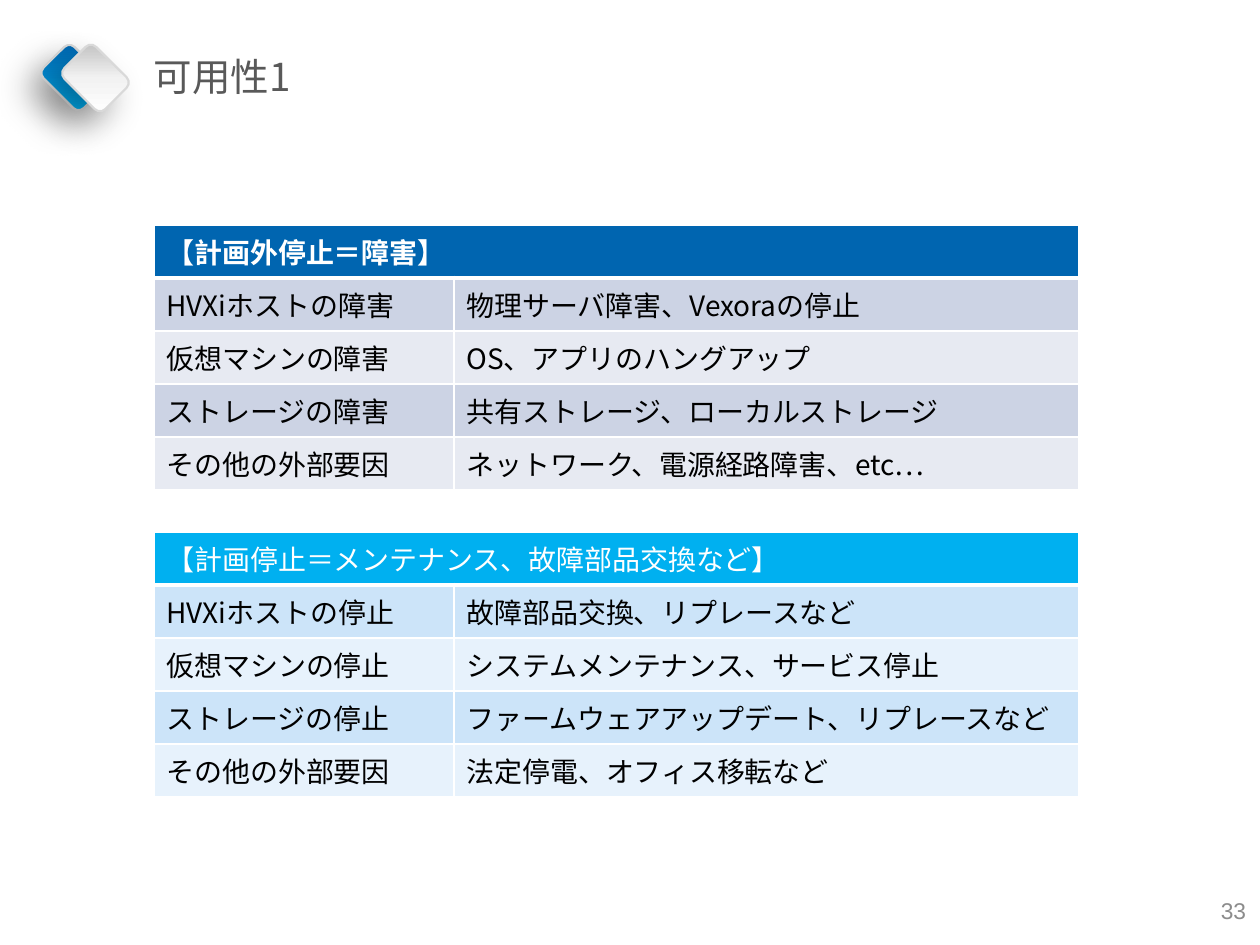
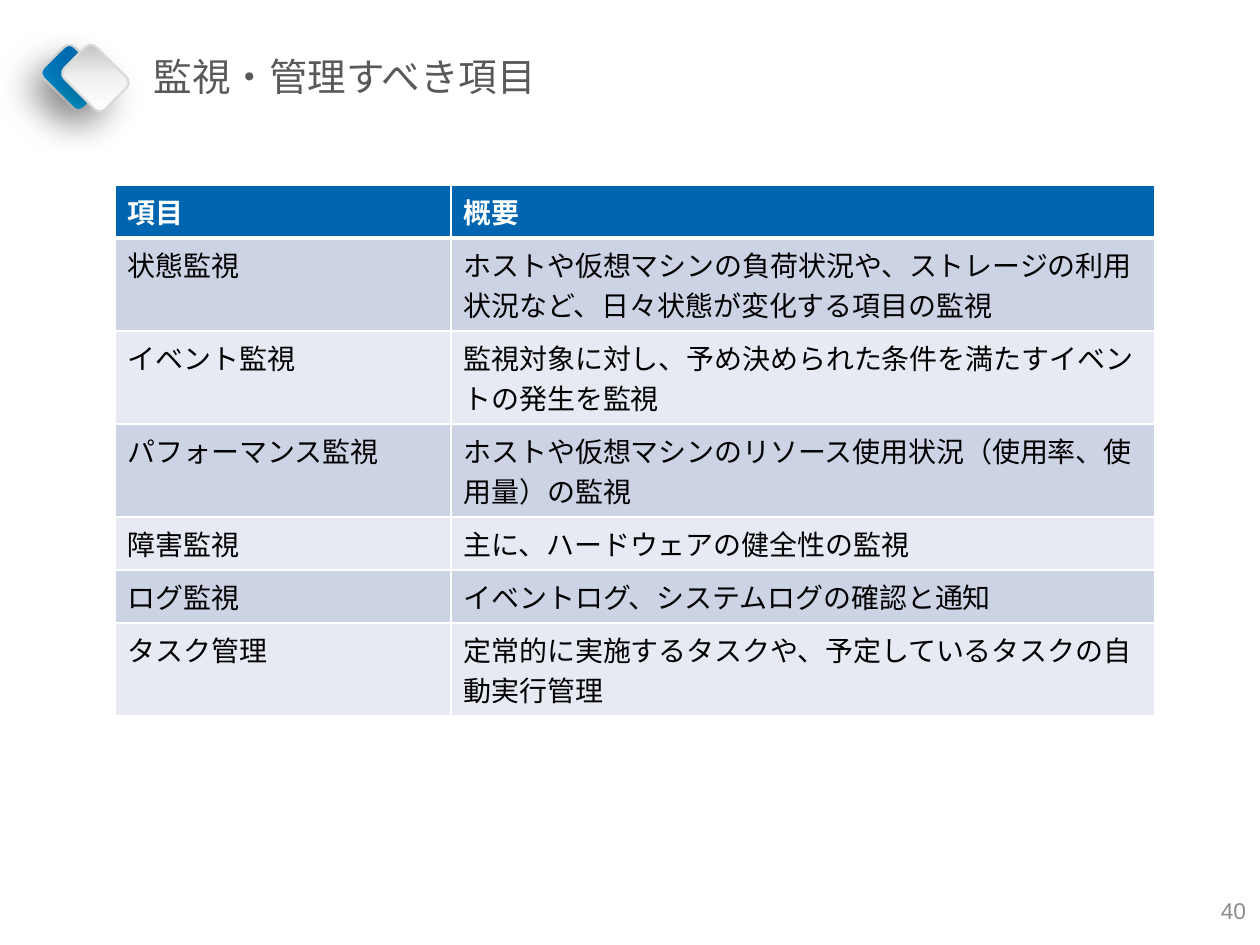
from dataclasses import dataclass

from pptx import Presentation
from pptx import util as u
from pptx.dml.color import RGBColor
from pptx.enum import shapes, text
from pptx.oxml import parse_xml
from pptx.oxml.ns import nsdecls


@dataclass(frozen=True)
class Theme:
    blue: str = "0065B0"
    sky: str = "00B0F0"
    blue_bands: tuple = ("CCD3E4", "E7EAF2")
    sky_bands: tuple = ("CCE4F9", "E7F2FC")
    white: str = "FFFFFF"
    black: str = "000000"
    outline: str = "D9D9D9"
    title_gray: str = "595959"
    number_gray: str = "8C8C8C"
    title_font: str = "Noto Sans CJK SC"
    table_font: str = "Noto Sans CJK JP"
    number_font: str = "Arial"
    title_size: int = 22
    table_size: int = 16
    number_size: int = 13
    thin: int = 1
    thick: int = 3


theme = Theme()


def px(length):
    return u.Emu(round(length * 914400 / 126))


def write_text(frame, words, *, font, size, color, bold=False,
               align=text.PP_ALIGN.LEFT, spacing=None, anchor=None, insets=None):
    frame.word_wrap = True
    if anchor is not None:
        frame.vertical_anchor = anchor
    if insets:
        frame.margin_left = frame.margin_right = px(insets[0])
        frame.margin_top = frame.margin_bottom = px(insets[1])
    paragraph = frame.paragraphs[0]
    paragraph.alignment = align
    paragraph.line_spacing = spacing
    run = paragraph.add_run()
    run.text = words
    run.font.name = font
    run.font.size = u.Pt(size)
    run.font.bold = bold
    run.font.color.rgb = RGBColor.from_string(color)
    run.font._element.append(parse_xml(f'<a:ea {nsdecls("a")} typeface="{font}"/>'))


# Title mark: left, top, width, height, gradient angle, gradient stops
mark_parts = [
    (52, 49, 44, 57, 135, [(0, theme.blue), (100, theme.sky)]),
    (73, 49, 45, 58, 315, [(0, theme.white), (50, "F2F2F2"), (100, "BFBFBF")]),
]

# Slide content: one entry per slide, each with its tables
pages = [
    dict(title="可用性1", number="33", tables=[
        dict(left=154, top=225, columns=(300, 625), fill=theme.blue,
             bands=theme.blue_bands, bold=True, heights=[53] * 5, rows=[
                 ("【計画外停止＝障害】",),
                 ("HVXiホストの障害", "物理サーバ障害、Vexoraの停止"),
                 ("仮想マシンの障害", "OS、アプリのハングアップ"),
                 ("ストレージの障害", "共有ストレージ、ローカルストレージ"),
                 ("その他の外部要因", "ネットワーク、電源経路障害、etc…"),
             ]),
        dict(left=154, top=532, columns=(300, 625), fill=theme.sky,
             bands=theme.sky_bands, bold=False, heights=[53] * 5, rows=[
                 ("【計画停止＝メンテナンス、故障部品交換など】",),
                 ("HVXiホストの停止", "故障部品交換、リプレースなど"),
                 ("仮想マシンの停止", "システムメンテナンス、サービス停止"),
                 ("ストレージの停止", "ファームウェアアップデート、リプレースなど"),
                 ("その他の外部要因", "法定停電、オフィス移転など"),
             ]),
    ]),
    dict(title="監視・管理すべき項目", number="40", tables=[
        dict(left=115, top=185, columns=(336, 704), fill=theme.blue,
             bands=theme.blue_bands, bold=True,
             heights=[53, 93, 93, 93, 53, 53, 93], rows=[
                 ("項目", "概要"),
                 ("状態監視", "ホストや仮想マシンの負荷状況や、ストレージの利用状況など、日々状態が変化する項目の監視"),
                 ("イベント監視", "監視対象に対し、予め決められた条件を満たすイベントの発生を監視"),
                 ("パフォーマンス監視", "ホストや仮想マシンのリソース使用状況（使用率、使用量）の監視"),
                 ("障害監視", "主に、ハードウェアの健全性の監視"),
                 ("ログ監視", "イベントログ、システムログの確認と通知"),
                 ("タスク管理", "定常的に実施するタスクや、予定しているタスクの自動実行管理"),
             ]),
    ]),
]

presentation = Presentation()
presentation.slide_width = px(1260)
presentation.slide_height = px(945)

for page in pages:
    slide = presentation.slides.add_slide(presentation.slide_layouts[6])

    # Title mark with gradient and soft shadow
    for left, top, width, height, angle, stops in mark_parts:
        shape = slide.shapes.add_shape(shapes.MSO_SHAPE.ROUNDED_RECTANGLE,
                                       px(left), px(top), px(width), px(height))
        shape.rotation = 315
        shape.line.color.rgb = RGBColor.from_string(theme.outline)
        shape.line.width = u.Pt(1.25)
        shape.shadow.inherit = False
        stop_xml = "".join(f'<a:gs pos="{position * 1000}"><a:srgbClr val="{color}"/></a:gs>'
                           for position, color in stops)
        properties = shape._element.spPr
        properties.prstGeom.addnext(parse_xml(
            f'<a:gradFill {nsdecls("a")} rotWithShape="1"><a:gsLst>{stop_xml}</a:gsLst>'
            f'<a:lin ang="{angle * 60000}" scaled="0"/></a:gradFill>'))
        properties.effectLst.append(parse_xml(
            f'<a:outerShdw {nsdecls("a")} blurRad="{u.Pt(20)}" dist="{u.Pt(12)}" '
            f'dir="{135 * 60000}" rotWithShape="0"><a:srgbClr val="{theme.black}">'
            '<a:alpha val="30000"/></a:srgbClr></a:outerShdw>'))

    # Title and page number
    title = slide.shapes.add_textbox(px(145), px(49), px(813), px(60))
    write_text(title.text_frame, page["title"], font=theme.title_font,
               size=theme.title_size, color=theme.title_gray, spacing=0.9,
               anchor=text.MSO_ANCHOR.MIDDLE, insets=(9, 5))
    number = slide.shapes.add_textbox(px(966), px(891), px(294), px(38))
    write_text(number.text_frame, page["number"], font=theme.number_font,
               size=theme.number_size, color=theme.number_gray,
               align=text.PP_ALIGN.RIGHT, anchor=text.MSO_ANCHOR.MIDDLE, insets=(14, 7))

    # Tables
    for content in page["tables"]:
        rows, columns, heights = content["rows"], content["columns"], content["heights"]
        table = slide.shapes.add_table(
            len(rows), len(columns), px(content["left"]), px(content["top"]),
            px(sum(columns)), px(sum(heights))).table
        table.first_row = table.horz_banding = False
        for column, width in zip(table.columns, columns):
            column.width = px(width)
        if len(rows[0]) == 1:
            table.cell(0, 0).merge(table.cell(0, 1))

        for row_index, row in enumerate(rows):
            table.rows[row_index].height = px(heights[row_index])
            header = row_index == 0
            fill = content["fill"] if header else content["bands"][(row_index - 1) % 2]
            for column_index in range(len(columns)):
                cell = table.cell(row_index, column_index)
                cell.fill.solid()
                cell.fill.fore_color.rgb = RGBColor.from_string(fill)
                border_widths = {
                    "L": theme.thin, "R": theme.thin,
                    "T": theme.thick if row_index == 1 else theme.thin,
                    "B": theme.thick if header else theme.thin,
                }
                cell_properties = cell._tc.get_or_add_tcPr()
                for place, (side, width) in enumerate(border_widths.items()):
                    cell_properties.insert(place, parse_xml(
                        f'<a:ln{side} {nsdecls("a")} w="{u.Pt(width)}"><a:solidFill>'
                        f'<a:srgbClr val="{theme.white}"/></a:solidFill></a:ln{side}>'))
                if column_index < len(row):
                    write_text(cell.text_frame, row[column_index], font=theme.table_font,
                               size=theme.table_size, bold=header and content["bold"],
                               color=theme.white if header else theme.black)

presentation.save("out.pptx")
